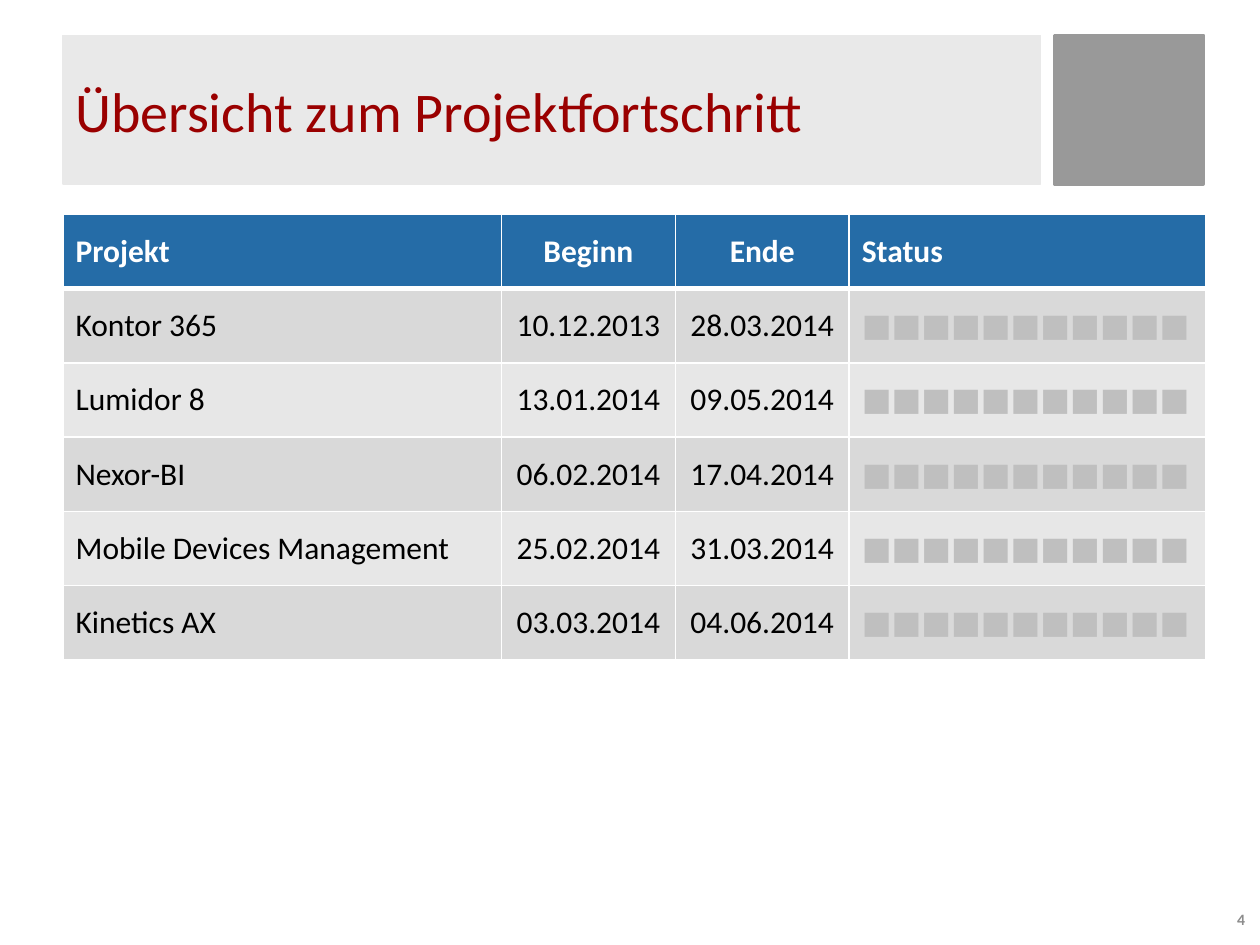
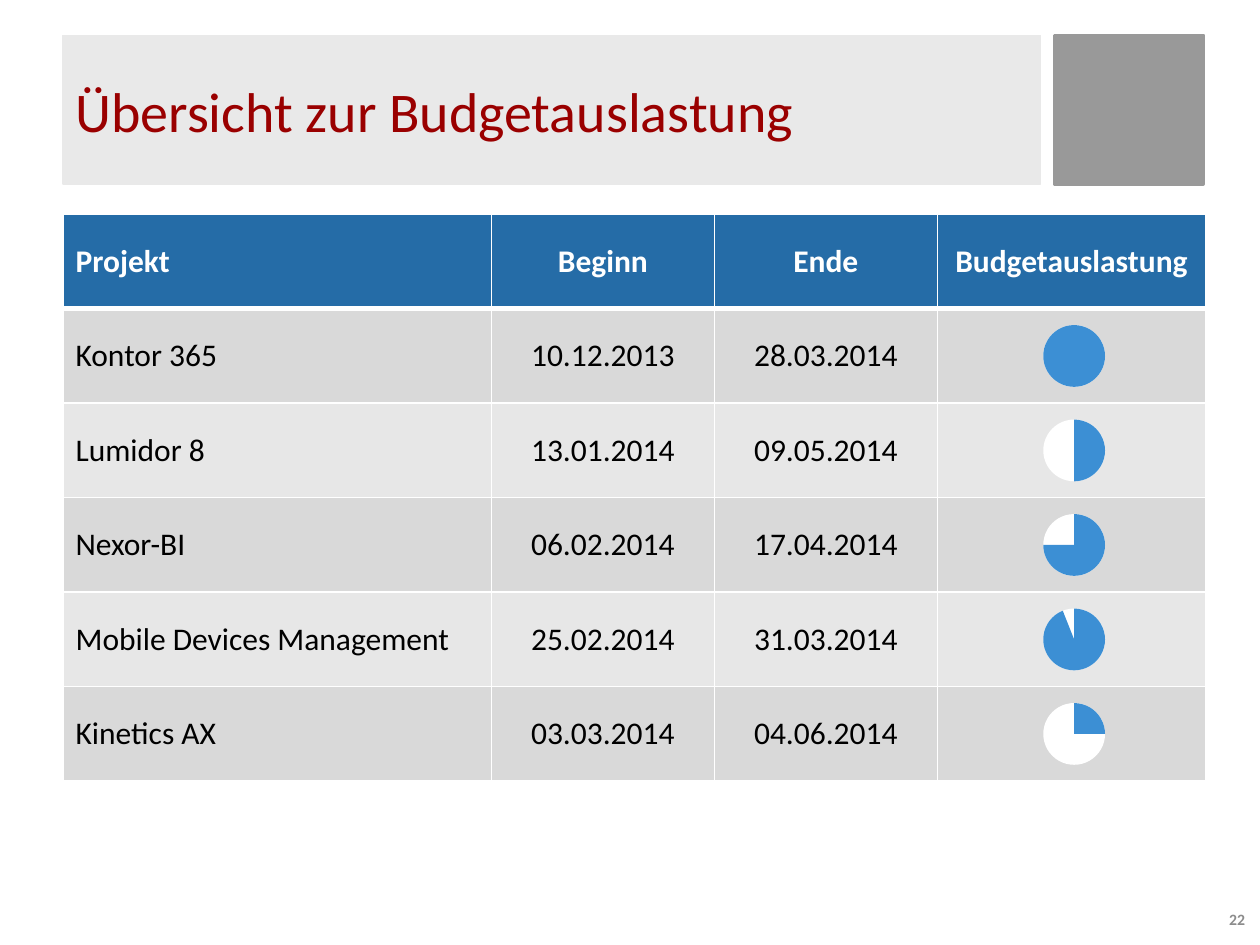
"""Build two project overview slides: progress and budget use."""
from lxml import etree
from pptx import Presentation
from pptx.dml.color import RGBColor
from pptx.enum.shapes import MSO_SHAPE as Shape
from pptx.enum.text import MSO_ANCHOR as Anchor, PP_ALIGN as Align
from pptx.oxml.ns import qn
from pptx.util import Inches, Pt

PROJECTS = [
    ("Kontor 365", "10.12.2013", "28.03.2014", 0.999),
    ("Lumidor 8", "13.01.2014", "09.05.2014", 0.5),
    ("Nexor-BI", "06.02.2014", "17.04.2014", 0.75),
    ("Mobile Devices Management", "25.02.2014", "31.03.2014", 0.94),
    ("Kinetics AX", "03.03.2014", "04.06.2014", 0.25),
]
STATUS_BAR = "■" * 11
PROGRESS = {
    "title": "Übersicht zum Projektfortschritt", "number": "4",
    "headings": ("Projekt", "Beginn", "Ende", "Status"),
    "columns": (3.48, 1.38, 1.38, 2.83), "row_height": 0.59,
    "aligns": (Align.LEFT, Align.CENTER, Align.CENTER, Align.LEFT),
}
BUDGET = {
    "title": "Übersicht zur Budgetauslastung", "number": "22",
    "headings": ("Projekt", "Beginn", "Ende", "Budgetauslastung"),
    "columns": (3.4, 1.77, 1.77, 2.13), "row_height": 0.75,
    "aligns": (Align.LEFT, Align.CENTER, Align.CENTER, Align.CENTER),
}

WIDTH, HEIGHT = 10, 7.5
LEFT, BAND_TOP, BAND_HEIGHT, TITLE_WIDTH = 0.5, 0.28, 1.18, 7.76
SQUARE_LEFT, TABLE_TOP = 8.37, 1.7
PIE_SIZE, PIE_SHIFT = 0.49, 0.02
WHITE, BLACK, HEADER, PIE = "FFFFFF", "000000", "256CA7", "3C8FD4"
BAND, SQUARE, STATUS = "E9E9E9", "999999", "BFBFBF"
ROW_FILLS = ("D9D9D9", "E7E7E7")
TITLE_FONT = {"size": Pt(32), "bold": False, "color": "9A0000"}
NUMBER_FONT = {"size": Pt(9), "bold": True, "color": "8C8C8C"}
HEADER_FONT = {"size": Pt(18), "bold": True, "color": WHITE}
BODY_FONT = {"size": Pt(18), "bold": False, "color": BLACK}
STATUS_FONT = {**BODY_FONT, "color": STATUS}


def paint(target, color):
    target.solid()
    target.fore_color.rgb = RGBColor.from_string(color)


def write(frame, text, style, align=Align.LEFT):
    para = frame.paragraphs[0]
    para.alignment = align
    span = para.add_run()
    span.text = text
    span.font.name = "Calibri"
    for name, value in style.items():
        if name == "color":
            span.font.color.rgb = RGBColor.from_string(value)
        else:
            setattr(span.font, name, value)


def add_block(page, kind, place, color, line_width=0):
    block = page.shapes.add_shape(kind, *map(Inches, place))
    block.shadow.inherit = False
    paint(block.fill, color)
    if line_width:
        paint(block.line.fill, color)
        block.line.width = Pt(line_width)
    else:
        block.line.fill.background()
    return block


def add_frame(page, title, number):
    add_block(page, Shape.RECTANGLE,
              (SQUARE_LEFT, BAND_TOP, BAND_HEIGHT, BAND_HEIGHT), SQUARE, 2)
    band = add_block(page, Shape.RECTANGLE,
                     (LEFT, BAND_TOP, TITLE_WIDTH, BAND_HEIGHT), BAND, 0.75)
    box = page.shapes.add_textbox(*map(Inches, (9.18, 7.14, 0.8, 0.31)))
    for shape, text, style, align in (
            (band, title, TITLE_FONT, Align.LEFT),
            (box, number, NUMBER_FONT, Align.RIGHT)):
        shape.text_frame.word_wrap = True
        shape.text_frame.vertical_anchor = Anchor.MIDDLE
        write(shape.text_frame, text, style, align)


def set_borders(cell, row):
    properties = cell._tc.get_or_add_tcPr()
    widths = {"L": 1, "R": 1, "T": 3 if row == 1 else 1, "B": 3 if row == 0 else 1}
    for side, width in widths.items():
        line = etree.SubElement(properties, qn(f"a:ln{side}"), w=str(Pt(width)))
        fill = etree.SubElement(line, qn("a:solidFill"))
        etree.SubElement(fill, qn("a:srgbClr"), val=WHITE)


def add_project_table(page, content, last_column):
    columns, row_height = content["columns"], content["row_height"]
    rows = [content["headings"]]
    rows += [(*project[:3], last_column) for project in PROJECTS]
    table = page.shapes.add_table(
        len(rows), len(columns), Inches(LEFT), Inches(TABLE_TOP),
        Inches(sum(columns)), Inches(row_height * len(rows))).table
    table.horz_banding = False
    for column, width in zip(table.columns, columns):
        column.width = Inches(width)
    for row, texts in enumerate(rows):
        table.rows[row].height = Inches(row_height)
        for column, text in enumerate(texts):
            cell = table.cell(row, column)
            set_borders(cell, row)
            paint(cell.fill, ROW_FILLS[(row - 1) % 2] if row else HEADER)
            cell.vertical_anchor = Anchor.MIDDLE
            style = STATUS_FONT if column == 3 else BODY_FONT
            if text:
                write(cell.text_frame, text, style if row else HEADER_FONT,
                      content["aligns"][column])


def add_pies(page, columns, row_height):
    left = LEFT + sum(columns) - (columns[-1] + PIE_SIZE) / 2 + PIE_SHIFT
    for row, project in enumerate(PROJECTS, 1):
        top = TABLE_TOP + (row + 0.5) * row_height - PIE_SIZE / 2
        place = (left, top, PIE_SIZE, PIE_SIZE)
        add_block(page, Shape.OVAL, place, WHITE)
        wedge = add_block(page, Shape.ARC, place, PIE)
        wedge.adjustments[0] = 270 * 0.6
        wedge.adjustments[1] = (270 + 360 * project[3]) % 360 * 0.6


def main():
    deck = Presentation()
    deck.slide_width, deck.slide_height = Inches(WIDTH), Inches(HEIGHT)
    for content, last_column in ((PROGRESS, STATUS_BAR), (BUDGET, "")):
        page = deck.slides.add_slide(deck.slide_layouts[6])
        add_frame(page, content["title"], content["number"])
        add_project_table(page, content, last_column)
        if content is BUDGET:
            add_pies(page, content["columns"], content["row_height"])
    deck.save("out.pptx")


if __name__ == "__main__":
    main()
